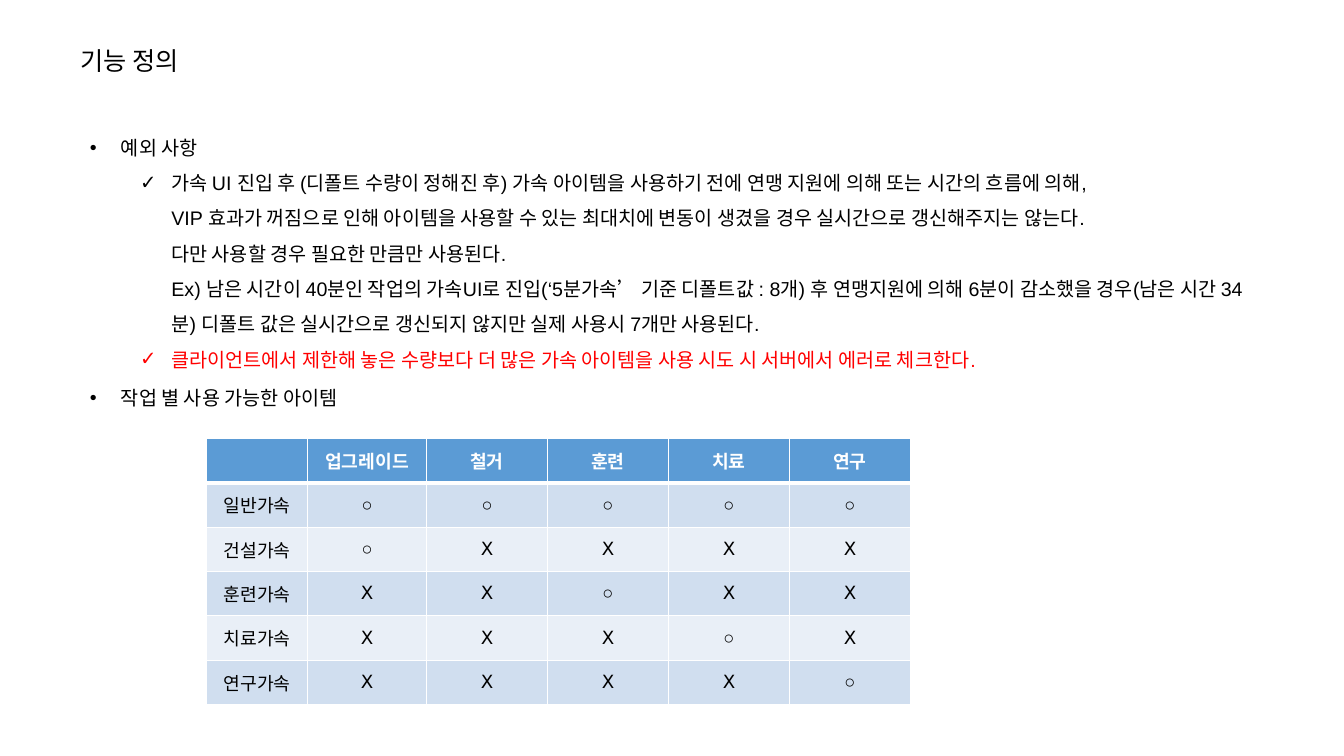
import lxml.etree
import pptx
import pptx.dml.color
import pptx.enum.text
import pptx.oxml.ns
import pptx.util

Inches = pptx.util.Inches
Pt = pptx.util.Pt
RGBColor = pptx.dml.color.RGBColor
BLACK = RGBColor(0x00, 0x00, 0x00)
WHITE = RGBColor(0xFF, 0xFF, 0xFF)
RED = RGBColor(0xFF, 0x00, 0x00)
HEADER_BLUE = RGBColor(0x5B, 0x9B, 0xD5)
BAND_DARK = RGBColor(0xD0, 0xDE, 0xEF)
BAND_LIGHT = RGBColor(0xE9, 0xEF, 0xF7)
FONT = "Arial"

EXCEPTION_DETAIL = "\v".join([
    "가속 UI 진입 후 (디폴트 수량이 정해진 후) 가속 아이템을 사용하기 전에 연맹 지원에 의해 또는 시간의 흐름에 의해, ",
    "VIP 효과가 꺼짐으로 인해 아이템을 사용할 수 있는 최대치에 변동이 생겼을 경우 실시간으로 갱신해주지는 않는다.",
    "다만 사용할 경우 필요한 만큼만 사용된다.",
    "Ex) 남은 시간이 40분인 작업의 가속UI로 진입(‘5분가속’ 기준 디폴트값 : 8개) 후 연맹지원에 의해 "
    "6분이 감소했을 경우(남은 시간 34분) 디폴트 값은 실시간으로 갱신되지 않지만 실제 사용시 7개만 사용된다.",
])
EXCEPTIONS = [
    (0, "예외 사항", BLACK),
    (1, EXCEPTION_DETAIL, BLACK),
    (1, "클라이언트에서 제한해 놓은 수량보다 더 많은 가속 아이템을 사용 시도 시 서버에서 에러로 체크한다.", RED),
]
ITEM_HEADING = [(0, "작업 별 사용 가능한 아이템", BLACK)]
BULLETS = ["•", "✓"]
INDENTS = [0.31, 0.81]

TASKS = ["업그레이드", "철거", "훈련", "치료", "연구"]
ALLOWED_TASKS = {
    "일반가속": TASKS,
    "건설가속": ["업그레이드"],
    "훈련가속": ["훈련"],
    "치료가속": ["치료"],
    "연구가속": ["연구"],
}
COLUMN_WIDTHS = [1, 1.18, 1.2, 1.2, 1.2, 1.2]


def add_element(parent, tag, **attributes):
    """Append a DrawingML element to the parent and return it."""
    return lxml.etree.SubElement(parent, pptx.oxml.ns.qn(tag), attributes)


def style_font(font, size, color, bold=False):
    """Give a font the slide's typeface with a size, colour and weight."""
    font.name = FONT
    font.size = Pt(size)
    font.bold = bold
    font.color.rgb = color


def place_text(shape, left, top, width, height):
    """Place a placeholder, anchor its text at the top and return its frame."""
    shape.left, shape.top = Inches(left), Inches(top)
    shape.width, shape.height = Inches(width), Inches(height)
    frame = shape.text_frame
    frame.word_wrap = True
    frame.auto_size = pptx.enum.text.MSO_AUTO_SIZE.NONE
    frame.vertical_anchor = pptx.enum.text.MSO_ANCHOR.TOP
    return frame


def fill_title(shape, left, top, width, height):
    """Write the slide title into its placeholder."""
    paragraph = place_text(shape, left, top, width, height).paragraphs[0]
    paragraph.text = "기능 정의"
    paragraph.alignment = pptx.enum.text.PP_ALIGN.LEFT
    style_font(paragraph.font, 18, BLACK)


def fill_list(shape, items, line_spacing, left, top, width, height):
    """Write bulleted items of (level, text, colour) into a body placeholder."""
    frame = place_text(shape, left, top, width, height)
    for index, (level, text, color) in enumerate(items):
        paragraph = frame.paragraphs[0] if index == 0 else frame.add_paragraph()
        paragraph.text = text
        paragraph.level = level
        paragraph.line_spacing = line_spacing
        paragraph.space_before = Pt(0)
        properties = paragraph._p.get_or_add_pPr()
        properties.set("marL", str(Inches(INDENTS[level])))
        properties.set("indent", str(Inches(-INDENTS[0])))
        bullet_color = add_element(properties, "a:buClr")
        add_element(bullet_color, "a:srgbClr", val=str(color))
        add_element(properties, "a:buFont", typeface=FONT)
        add_element(properties, "a:buChar", char=BULLETS[level])
        style_font(paragraph.font, 14, color)


def add_borders(cell, top_width, bottom_width):
    """Draw white borders around a table cell."""
    properties = cell._tc.get_or_add_tcPr()
    widths = {"a:lnL": 1, "a:lnR": 1, "a:lnT": top_width, "a:lnB": bottom_width}
    for tag, width in widths.items():
        line = add_element(properties, tag, w=str(Pt(width)))
        add_element(add_element(line, "a:solidFill"), "a:srgbClr", val=str(WHITE))


def add_item_table(slide, left, top, row_height):
    """Add the table showing which item works for which task."""
    rows = [["", *TASKS]]
    for item, allowed in ALLOWED_TASKS.items():
        rows.append([item, *("○" if task in allowed else "Ⅹ" for task in TASKS)])
    table = slide.shapes.add_table(
        len(rows), len(COLUMN_WIDTHS), Inches(left), Inches(top),
        Inches(sum(COLUMN_WIDTHS)), Inches(row_height * len(rows))).table
    for column, width in zip(table.columns, COLUMN_WIDTHS):
        column.width = Inches(width)
    for row_index, texts in enumerate(rows):
        is_header = row_index == 0
        band = BAND_DARK if row_index % 2 else BAND_LIGHT
        for column_index, text in enumerate(texts):
            cell = table.cell(row_index, column_index)
            add_borders(cell, 3 if row_index == 1 else 1, 3 if is_header else 1)
            cell.fill.solid()
            cell.fill.fore_color.rgb = HEADER_BLUE if is_header else band
            cell.vertical_anchor = pptx.enum.text.MSO_ANCHOR.MIDDLE
            cell.margin_left = cell.margin_right = Inches(0.11)
            paragraph = cell.text_frame.paragraphs[0]
            paragraph.text = text
            paragraph.alignment = pptx.enum.text.PP_ALIGN.CENTER
            style_font(paragraph.font, 13, WHITE if is_header else BLACK, is_header)


def build_definition_slide(presentation):
    """Build the slide with the exception rules and the item table."""
    slide = presentation.slides.add_slide(presentation.slide_layouts[3])
    title, exceptions, item_heading = list(slide.placeholders)[:3]
    add_item_table(slide, 2.05, 4.35, 0.44)
    fill_title(title, 0.7, 0.4, 1.3, 0.4)
    fill_list(item_heading, ITEM_HEADING, 1.0, 0.79, 3.78, 2.95, 0.34)
    fill_list(exceptions, EXCEPTIONS, 1.5, 0.79, 1.18, 11.72, 2.57)


def main():
    """Create the presentation and save it."""
    presentation = pptx.Presentation()
    presentation.slide_width = Inches(13.33)
    presentation.slide_height = Inches(7.5)
    build_definition_slide(presentation)
    presentation.save("out.pptx")


if __name__ == "__main__":
    main()
